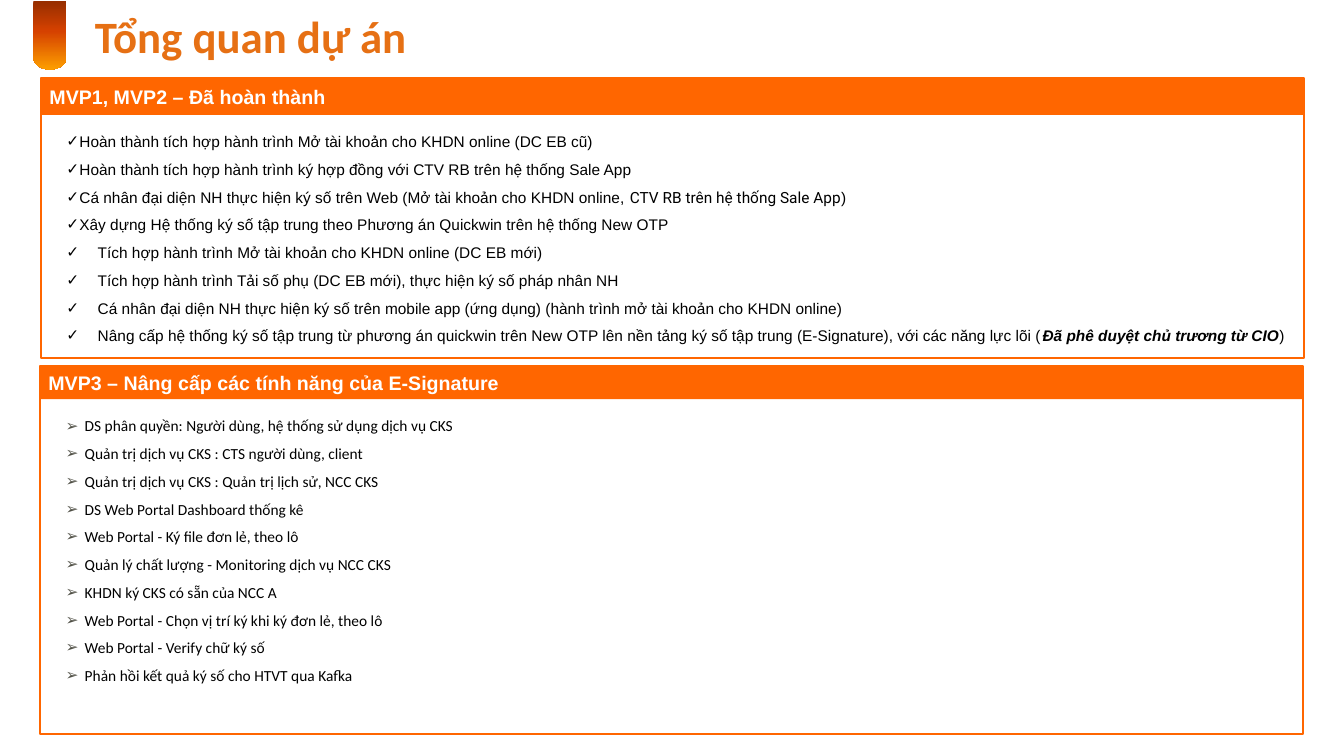
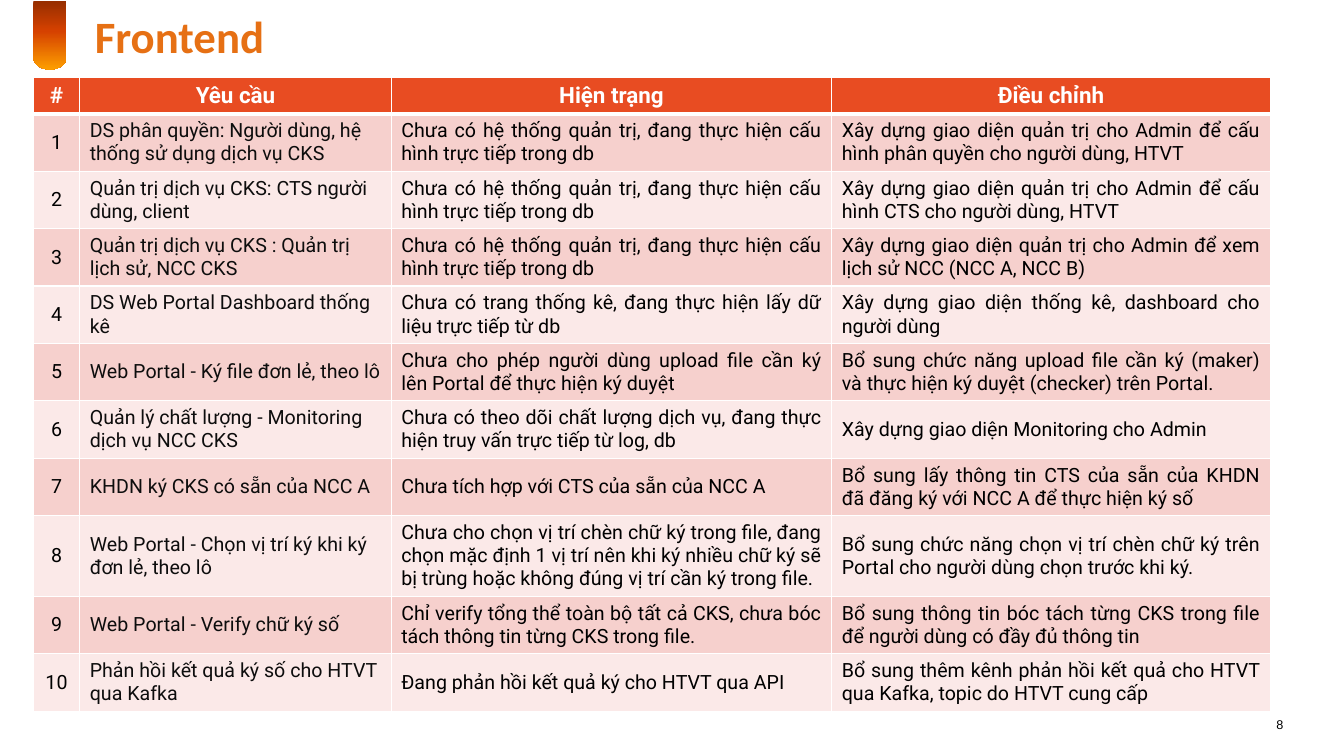
from copy import deepcopy
from math import cos, pi, sin

from pptx import Presentation
from pptx.dml.color import RGBColor
from pptx.enum.shapes import MSO_SHAPE as SHAPE
from pptx.enum.text import MSO_ANCHOR as ANCHOR, MSO_AUTO_SIZE as AUTO, PP_ALIGN as ALIGN
from pptx.oxml.ns import qn
from pptx.util import Inches, Pt

W, H = Inches(13.33), Inches(7.5)
ORANGE, TITLE, WHITE, BLACK = "FF6600", "E67014", "FFFFFF", "000000"
TABLE_HEAD, ROW_FILLS = "E84C22", ("F6D0CD", "FBE9E8")
TAG_STOPS = ((0, "962E00"), (0.44, "D54100"), (1, "FD9E00"))

DONE = [
    "Hoàn thành tích hợp hành trình Mở tài khoản cho KHDN online (DC EB cũ)",
    "Hoàn thành tích hợp hành trình ký hợp đồng với CTV RB trên hệ thống Sale App",
    [("Cá nhân đại diện NH thực hiện ký số trên Web (Mở tài khoản cho KHDN online, ", {}),
     ("CTV RB trên hệ thống Sale App", {"font": "Roboto"}), (")", {})],
    "Xây dựng Hệ thống ký số tập trung theo Phương án Quickwin trên hệ thống New OTP",
    "Tích hợp hành trình Mở tài khoản cho KHDN online (DC EB mới)",
    "Tích hợp hành trình Tải số phụ (DC EB mới), thực hiện ký số pháp nhân NH",
    "Cá nhân đại diện NH thực hiện ký số trên mobile app (ứng dụng) "
    "(hành trình mở tài khoản cho KHDN online)",
    [("Nâng cấp hệ thống ký số tập trung từ phương án quickwin trên New OTP lên nền tảng "
      "ký số tập trung (E-Signature), với các năng lực lõi (", {}),
     ("Đã phê duyệt chủ trương từ CIO", {"bold": True, "italic": True}), (")", {})],
]
NO_ADMIN = "Chưa có hệ thống quản trị, đang thực hiện cấu hình trực tiếp trong db"
HEADS = ("#", "Yêu cầu", "Hiện trạng", "Điều chỉnh")
CHANGES = [
    ("DS phân quyền: Người dùng, hệ thống sử dụng dịch vụ CKS", NO_ADMIN,
     "Xây dựng giao diện quản trị cho Admin để cấu hình phân quyền cho người dùng, HTVT"),
    ("Quản trị dịch vụ CKS: CTS người dùng, client", NO_ADMIN,
     "Xây dựng giao diện quản trị cho Admin để cấu hình CTS cho người dùng, HTVT"),
    ("Quản trị dịch vụ CKS : Quản trị lịch sử, NCC CKS", NO_ADMIN,
     "Xây dựng giao diện quản trị cho Admin để xem lịch sử NCC (NCC A, NCC B)"),
    ("DS Web Portal Dashboard thống kê",
     "Chưa có trang thống kê, đang thực hiện lấy dữ liệu trực tiếp từ db",
     "Xây dựng giao diện thống kê, dashboard cho người dùng"),
    ("Web Portal - Ký file đơn lẻ, theo lô",
     "Chưa cho phép người dùng upload file cần ký lên Portal để thực hiện ký duyệt",
     "Bổ sung chức năng upload file cần ký (maker) và thực hiện ký duyệt (checker) trên Portal."),
    ("Quản lý chất lượng - Monitoring dịch vụ NCC CKS",
     "Chưa có theo dõi chất lượng dịch vụ, đang thực hiện truy vấn trực tiếp từ log, db",
     "Xây dựng giao diện Monitoring cho Admin"),
    ("KHDN ký CKS có sẵn của NCC A",
     "Chưa tích hợp với CTS của sẵn của NCC A",
     "Bổ sung lấy thông tin CTS của sẵn của KHDN đã đăng ký với NCC A để thực hiện ký số"),
    ("Web Portal - Chọn vị trí ký khi ký đơn lẻ, theo lô",
     "Chưa cho chọn vị trí chèn chữ ký trong file, đang chọn mặc định 1 vị trí nên khi ký "
     "nhiều chữ ký sẽ bị trùng hoặc không đúng vị trí cần ký trong file.",
     "Bổ sung chức năng chọn vị trí chèn chữ ký trên Portal cho người dùng chọn trước khi ký."),
    ("Web Portal - Verify chữ ký số",
     "Chỉ verify tổng thể toàn bộ tất cả CKS, chưa bóc tách thông tin từng CKS trong file.",
     "Bổ sung thông tin bóc tách từng CKS trong file để người dùng có đầy đủ thông tin"),
    ("Phản hồi kết quả ký số cho HTVT qua Kafka",
     "Đang phản hồi kết quả ký cho HTVT qua API",
     "Bổ sung thêm kênh phản hồi kết quả cho HTVT qua Kafka, topic do HTVT cung cấp"),
]


def rgb(color):
    return RGBColor.from_string(color)


def px(share):
    return round(W * share / 100)


def py(share):
    return round(H * share / 100)


def box(left, top, width, height):
    return px(left), py(top), px(width), py(height)


def add_run(p, text, size, color=BLACK, font="Arial", bold=False, italic=False):
    r = p.add_run()
    r.text = text
    f = r.font
    f.size, f.name, f.bold, f.italic = Pt(size), font, bold, italic
    f.color.rgb = rgb(color)


def set_margins(tf, size):
    tf.margin_left = tf.margin_right = tf.margin_top = tf.margin_bottom = Inches(size)


def add_rect(s, place, fill, line=None):
    sp = s.shapes.add_shape(SHAPE.RECTANGLE, *place)
    sp.shadow.inherit = False
    sp.fill.solid()
    sp.fill.fore_color.rgb = rgb(fill)
    if line:
        sp.line.color.rgb = rgb(line)
        sp.line.width = Pt(1.5)
    else:
        sp.line.fill.background()
    return sp


def add_text_box(s, place):
    tf = s.shapes.add_textbox(*place).text_frame
    tf.word_wrap = True
    set_margins(tf, 0)
    return tf


def add_tag(s):
    left, top, width, height = box(2.48, 0.13, 2.48, 9.07)
    rx, ry = width / 2, py(1.6)
    arc = [(left + rx + rx * cos(pi * i / 24), top + height - ry + ry * sin(pi * i / 24))
           for i in range(25)]
    outline = s.shapes.build_freeform(left, top)
    outline.add_line_segments([(left + width, top)] + arc)
    sp = outline.convert_to_shape()
    sp.shadow.inherit = False
    sp.line.fill.background()
    sp.fill.gradient()
    sp.fill.gradient_angle = 270
    stops = sp._element.spPr.find(".//" + qn("a:gsLst"))
    stops.insert(1, deepcopy(stops[0]))
    for stop, (position, color) in zip(sp.fill.gradient_stops, TAG_STOPS):
        stop.position = position
        stop.color.rgb = rgb(color)


def add_titled_slide(prs, title):
    s = prs.slides.add_slide(prs.slide_layouts[5])
    sp = s.shapes.title
    sp.left, sp.top, sp.width, sp.height = box(6.3, 0.4, 66.62, 8.67)
    tf = sp.text_frame
    tf.auto_size, tf.word_wrap = AUTO.NONE, True
    tf.vertical_anchor = ANCHOR.MIDDLE
    p = tf.paragraphs[0]
    p.alignment = ALIGN.LEFT
    add_run(p, title, 32, TITLE, "Calibri", bold=True)
    add_tag(s)
    return s


def add_panel(s, title, left, top, height, head):
    add_rect(s, box(left, top, 93.92, height), WHITE, ORANGE)
    tf = add_rect(s, box(left, top, 93.92, head), ORANGE).text_frame
    tf.word_wrap = True
    tf.vertical_anchor = ANCHOR.MIDDLE
    set_margins(tf, 0.08)
    p = tf.paragraphs[0]
    p.alignment = ALIGN.LEFT
    add_run(p, title, 14, WHITE, bold=True)


def set_bullet(p, char, color, margin, indent):
    pPr = p._p.get_or_add_pPr()
    pPr.set("marL", str(Inches(margin)))
    pPr.set("indent", str(Inches(indent)))
    clr = pPr.makeelement(qn("a:buClr"), {})
    clr.append(clr.makeelement(qn("a:srgbClr"), {"val": color}))
    pPr.append(clr)
    pPr.append(pPr.makeelement(qn("a:buFont"), {"typeface": "Arial"}))
    pPr.append(pPr.makeelement(qn("a:buChar"), {"char": char}))


def add_bullets(s, place, items, char, color, indents, font):
    tf = add_text_box(s, place)
    for i, (item, indent) in enumerate(zip(items, indents)):
        p = tf.add_paragraph() if i else tf.paragraphs[0]
        set_bullet(p, char, color, *indent)
        p.line_spacing = 1.5
        for text, style in [(item, {})] if isinstance(item, str) else item:
            add_run(p, text, 11, **{"font": font, **style})


def set_borders(cell, bottom):
    tcPr = cell._tc.get_or_add_tcPr()
    for side, width in (("L", 1), ("R", 1), ("T", 1), ("B", bottom)):
        ln = tcPr.makeelement(qn("a:ln" + side), {"w": str(Pt(width))})
        fill = ln.makeelement(qn("a:solidFill"), {})
        fill.append(fill.makeelement(qn("a:srgbClr"), {"val": WHITE}))
        ln.append(fill)
        tcPr.append(ln)


def fill_cell(cell, text, fill, align, size, color, bold=False, bottom=1):
    set_borders(cell, bottom)
    cell.fill.solid()
    cell.fill.fore_color.rgb = rgb(fill)
    cell.vertical_anchor = ANCHOR.MIDDLE
    p = cell.text_frame.paragraphs[0]
    p.alignment = align
    add_run(p, text, size, color, "Roboto", bold)


def add_change_table(s):
    columns = (3.45, 23.18, 32.78, 32.63)
    heights = [4.67] + [7.6] * 7 + [10.67] + [7.6] * 2
    place = box(2.48, 10.27, sum(columns), sum(heights))
    table = s.shapes.add_table(len(heights), len(columns), *place).table
    for column, width in zip(table.columns, columns):
        column.width = px(width)
    for row, height in zip(table.rows, heights):
        row.height = py(height)
    for c, head in enumerate(HEADS):
        fill_cell(table.cell(0, c), head, TABLE_HEAD, ALIGN.CENTER, 16, WHITE, True, 3)
    aligns = (ALIGN.CENTER, ALIGN.LEFT, ALIGN.JUSTIFY, ALIGN.JUSTIFY)
    colors = (BLACK, "0D0D0D", BLACK, BLACK)
    for n, change in enumerate(CHANGES, 1):
        for c, text in enumerate((str(n), *change)):
            fill_cell(table.cell(n, c), text, ROW_FILLS[(n - 1) % 2], aligns[c], 14, colors[c])


def add_page_number(s, number):
    tf = add_text_box(s, box(92.8, 94.8, 2.7, 2))
    tf.vertical_anchor = ANCHOR.BOTTOM
    p = tf.paragraphs[0]
    p.alignment = ALIGN.RIGHT
    add_run(p, number, 9)


def add_overview(prs):
    s = add_titled_slide(prs, "Tổng quan dự án")
    add_panel(s, "MVP3 – Nâng cấp các tính năng của E-Signature", 3, 48.4, 48.67, 4.4)
    add_panel(s, "MVP1, MVP2 – Đã hoàn thành", 3.08, 10.27, 37.07, 4.93)
    add_bullets(s, box(4.95, 16.27, 90.92, 33.33), DONE, "✓", BLACK,
                [(0.07, -0.32)] * 4 + [(0.31, -0.31)] * 4, "Arial")
    features = [change[0].replace("CKS: ", "CKS : ") for change in CHANGES]
    add_bullets(s, box(4.88, 53.87, 90.92, 36.53), features, "➢", "505046",
                [(0.19, -0.19)] * len(features), "Calibri")


def add_frontend(prs):
    s = add_titled_slide(prs, "Frontend")
    add_change_table(s)
    add_page_number(s, "8")


def main():
    prs = Presentation()
    prs.slide_width, prs.slide_height = W, H
    add_overview(prs)
    add_frontend(prs)
    prs.save("out.pptx")


if __name__ == "__main__":
    main()
